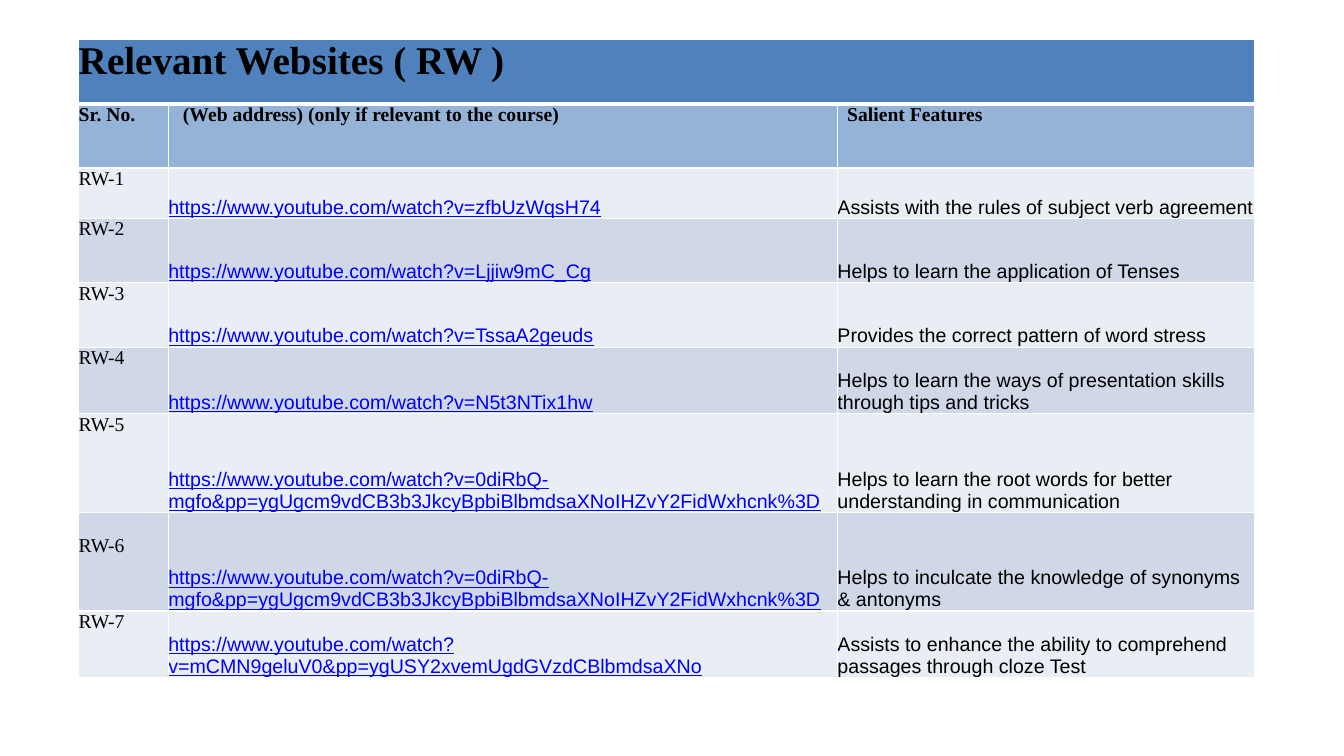
from dataclasses import dataclass

import lxml.etree
import pptx
import pptx.dml.color
import pptx.enum.text
import pptx.oxml.ns
import pptx.table
import pptx.util

Pt = pptx.util.Pt
Anchor = pptx.enum.text.MSO_ANCHOR

COLORS = {
    "title": "4F81BD",
    "header": "95B3D7",
    "light": "E9EDF4",
    "dark": "D0D8E8",
    "border": "FFFFFF",
    "text": "000000",
    "link": "0000FF",
}
SERIF, SANS = "Times New Roman", "Arial"
COLUMN_WIDTHS = (64, 478, 298)
ROW_HEIGHTS = (46, 46, 36, 46, 46, 47.5, 70.5, 70.5, 47.5)
LEFT, TOP = 56.25, 28.1


@dataclass(frozen=True)
class CellStyle:
    font: str = SERIF
    size: float = 14
    bold: bool = False
    color: str = "text"
    underline: bool = False
    anchor: Anchor = Anchor.TOP


@dataclass(frozen=True)
class Website:
    address: str
    feature: str
    label_offset: float = 0


TITLE = CellStyle(size=28, bold=True)
HEADER = CellStyle(bold=True)
LABEL = CellStyle()
LINK = CellStyle(font=SANS, color="link", underline=True, anchor=Anchor.BOTTOM)
FEATURE = CellStyle(font=SANS, anchor=Anchor.BOTTOM)

# Header texts with their left indents
HEADERS = (
    ("Sr. No.", 0),
    ("(Web address) (only if relevant to the course)", 10.5),
    ("Salient Features", 7),
)
WATCH = "https://www.youtube.com/watch?v="
ROOT_WORDS = WATCH + "0diRbQ-mgfo&pp=ygUgcm9vdCB3b3JkcyBpbiBlbmdsaXNoIHZvY2FidWxhcnk%3D"
WEBSITES = (
    Website(WATCH + "zfbUzWqsH74", "Assists with the rules of subject verb agreement"),
    Website(WATCH + "Ljjiw9mC_Cg", "Helps to learn the application of Tenses"),
    Website(WATCH + "TssaA2geuds", "Provides the correct pattern of word stress"),
    Website(WATCH + "N5t3NTix1hw",
            "Helps to learn the ways of presentation skills through tips and tricks"),
    Website(ROOT_WORDS,
            "Helps to learn the root words for better understanding in communication"),
    Website(ROOT_WORDS, "Helps to inculcate the knowledge of synonyms & antonyms",
            label_offset=16),
    Website(WATCH + "mCMN9geluV0&pp=ygUSY2xvemUgdGVzdCBlbmdsaXNo",
            "Assists to enhance the ability to comprehend passages through cloze Test"),
)


def rgb(name: str) -> pptx.dml.color.RGBColor:
    return pptx.dml.color.RGBColor.from_string(COLORS[name])


def write_cell(cell: pptx.table._Cell, text: str, style: CellStyle,
               indent: float = 0, offset: float = 0) -> None:
    cell.margin_left, cell.margin_top = Pt(indent), Pt(offset)
    cell.margin_right = cell.margin_bottom = Pt(0)
    cell.vertical_anchor = style.anchor
    run = cell.text_frame.paragraphs[0].add_run()
    run.text = text
    run.font.name = style.font
    run.font.size = Pt(style.size)
    run.font.bold = style.bold
    run.font.underline = style.underline
    run.font.color.rgb = rgb(style.color)


def paint_cell(cell: pptx.table._Cell, fill: str, top: float, bottom: float) -> None:
    cell.fill.solid()
    cell.fill.fore_color.rgb = rgb(fill)
    properties = cell._tc.get_or_add_tcPr()
    qn = pptx.oxml.ns.qn
    sides = (("a:lnL", 1), ("a:lnR", 1), ("a:lnT", top), ("a:lnB", bottom))
    for position, (tag, width) in enumerate(sides):
        line = lxml.etree.Element(qn(tag), w=str(Pt(width)))
        solid = lxml.etree.SubElement(line, qn("a:solidFill"))
        lxml.etree.SubElement(solid, qn("a:srgbClr"), val=COLORS["border"])
        properties.insert(position, line)


def main() -> None:
    presentation = pptx.Presentation()
    presentation.slide_width, presentation.slide_height = Pt(960), Pt(540)
    slide = presentation.slides.add_slide(presentation.slide_layouts[6])

    # Table grid
    table = slide.shapes.add_table(
        len(ROW_HEIGHTS), len(COLUMN_WIDTHS), Pt(LEFT), Pt(TOP),
        Pt(sum(COLUMN_WIDTHS)), Pt(sum(ROW_HEIGHTS))).table
    table.first_row = table.horz_banding = False
    for column, width in zip(table.columns, COLUMN_WIDTHS):
        column.width = Pt(width)
    for row, height in zip(table.rows, ROW_HEIGHTS):
        row.height = Pt(height)

    # Fills and borders, with a thick line under the title
    for index, row in enumerate(table.rows):
        band = "light" if index % 2 == 0 else "dark"
        fill = ("title", "header")[index] if index < 2 else band
        for cell in row.cells:
            paint_cell(cell, fill, 3 if index == 1 else 1, 3 if index == 0 else 1)

    # Title and column headers
    table.cell(0, 0).merge(table.cell(0, 2))
    write_cell(table.cell(0, 0), "Relevant Websites ( RW )", TITLE)
    for column, (text, indent) in enumerate(HEADERS):
        write_cell(table.cell(1, column), text, HEADER, indent=indent)

    # Websites
    for number, website in enumerate(WEBSITES, start=1):
        label, address, feature = table.rows[number + 1].cells
        write_cell(label, f"RW-{number}", LABEL, offset=website.label_offset)
        write_cell(address, website.address, LINK)
        write_cell(feature, website.feature, FEATURE)

    presentation.save("out.pptx")


if __name__ == "__main__":
    main()
